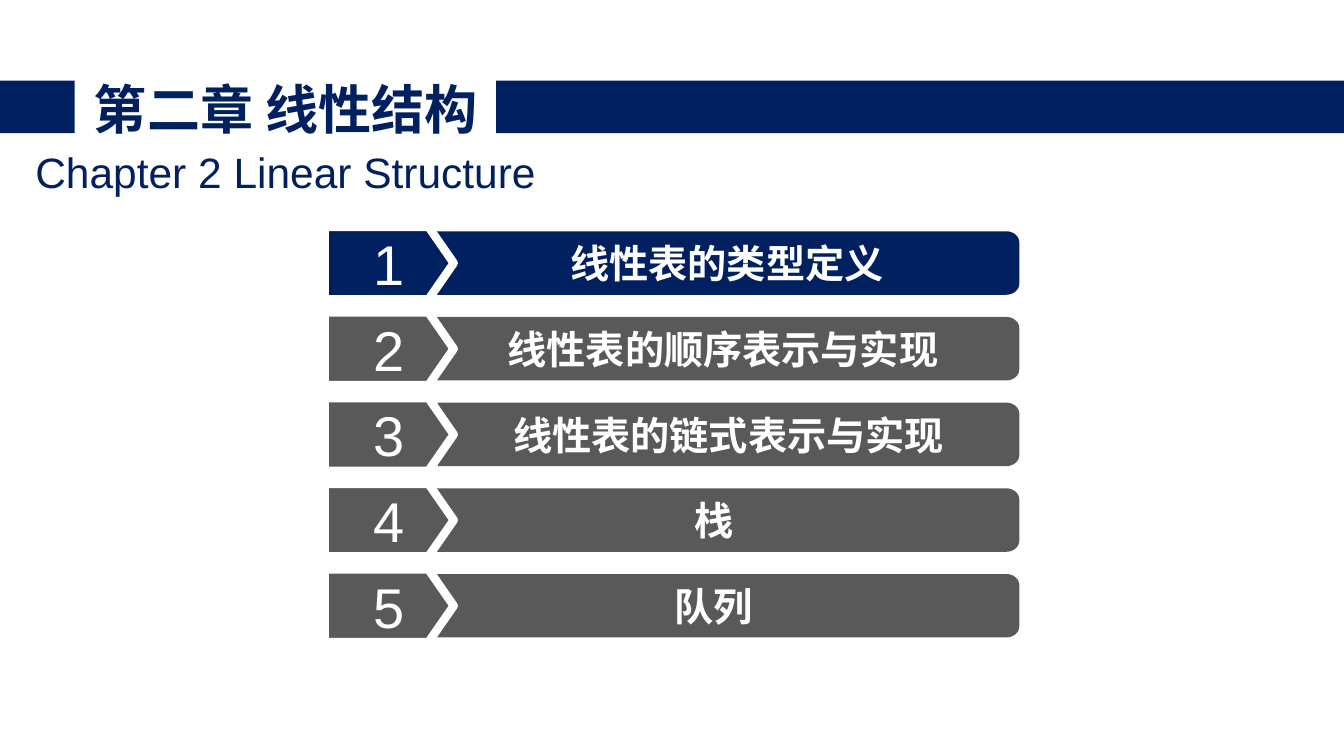
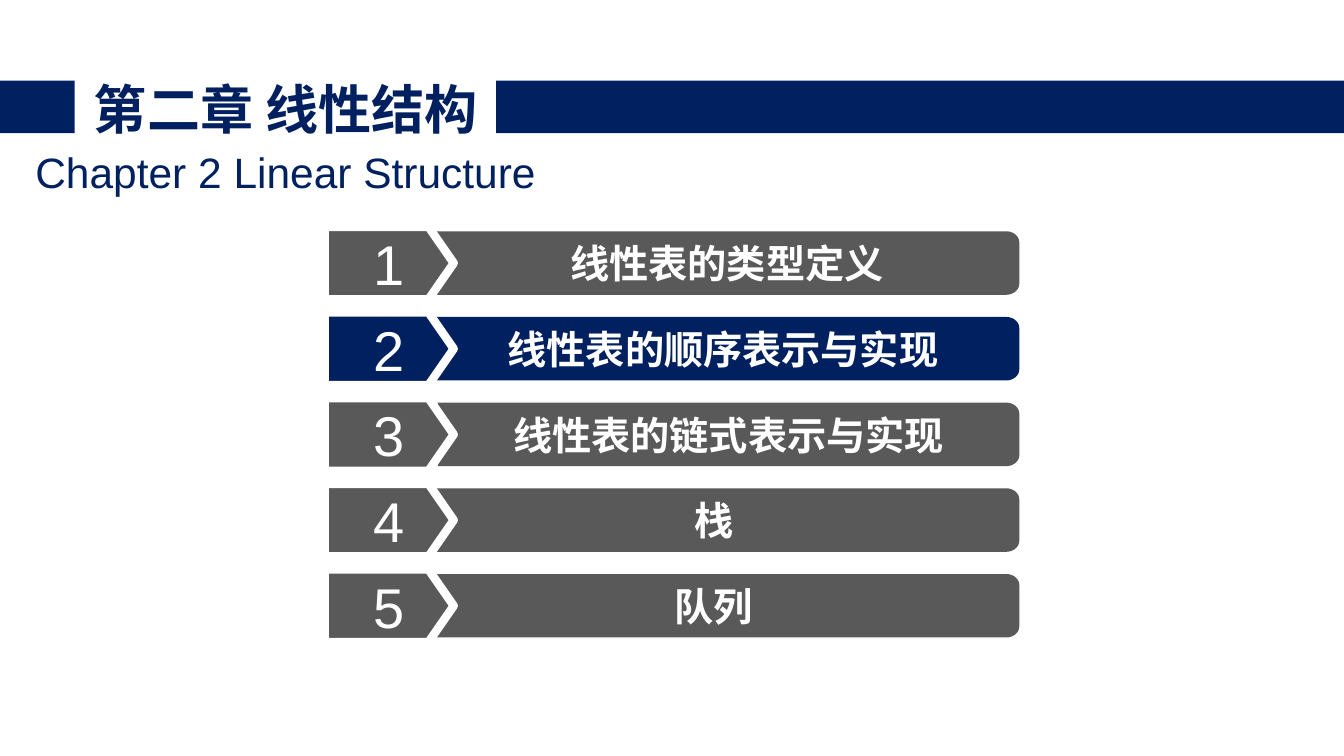
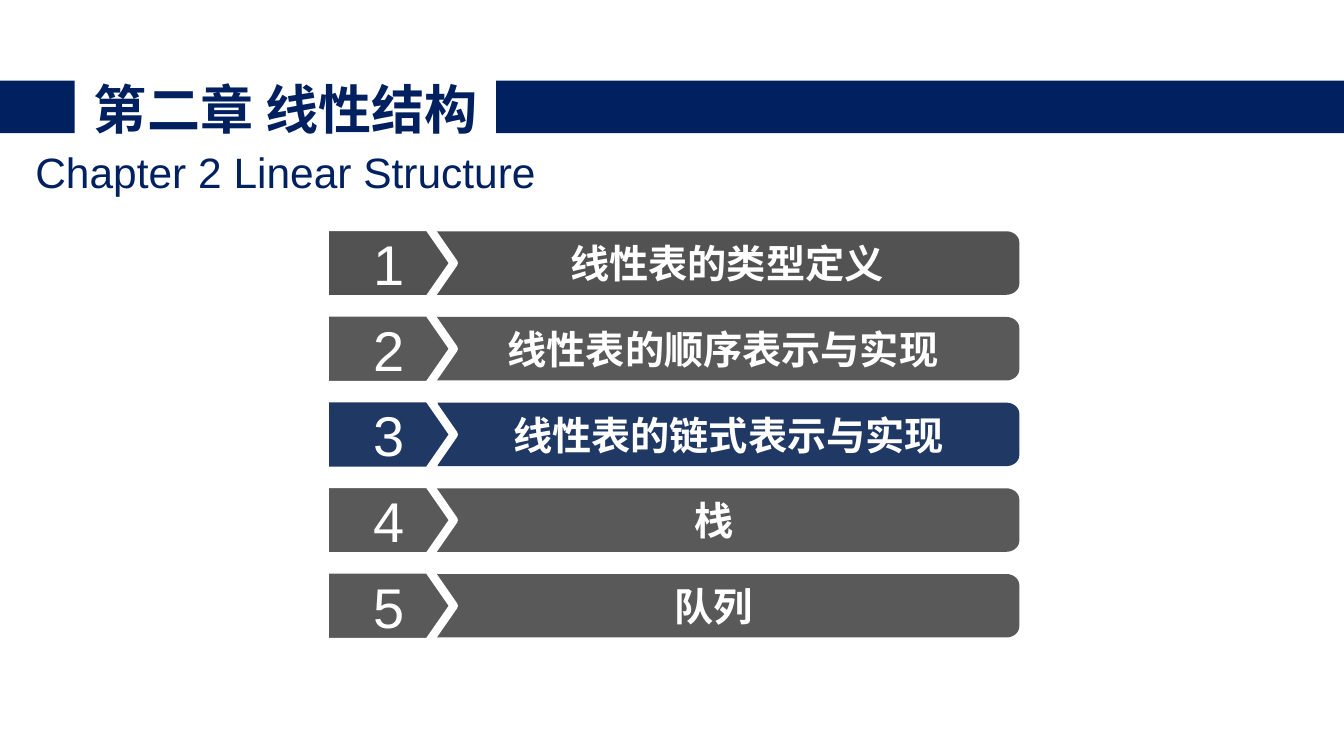
import math
from dataclasses import dataclass

from pptx import Presentation
from pptx import util as u
from pptx.dml.color import RGBColor
from pptx.enum import lang, shapes, text

COLORS = {
    "navy": "002060",
    "slate": "203864",
    "grey": "595959",
    "dark_grey": "525252",
    "white": "FFFFFF",
}
FONT = "Arial"
SLIDE_WIDTH, SLIDE_HEIGHT = 13.33, 7.5

# Agenda geometry in inches
FIRST_CENTER, ROW_PITCH = 2.61, 0.85
BAR_RIGHT, BAR_HEIGHT = 10.11, 0.63
CORNER_X, CORNER_Y = 0.13, 0.11
TAG_LEFT, TAG_SHOULDER, TAG_TIP, TAG_HEIGHT = 3.22, 4.25, 4.5, 0.72


@dataclass(frozen=True)
class Topic:
    label: str
    bar_left: float = 4.05
    indent: float = 0


@dataclass(frozen=True)
class TextStyle:
    size: float
    color: str
    bold: bool = False


TITLE = TextStyle(37.9, "navy", True)
SUBTITLE = TextStyle(30.3, "navy")
LABEL = TextStyle(28, "white", True)
NUMBER = TextStyle(40, "white")

TOPICS = [
    Topic("线性表的类型定义", bar_left=4.31),
    Topic("线性表的顺序表示与实现", indent=0.18),
    Topic("线性表的链式表示与实现", bar_left=4.34),
    Topic("栈"),
    Topic("队列"),
]

# Colour of each topic row, one list per slide
AGENDAS = [
    ["navy", "grey", "grey", "grey", "grey"],
    ["grey", "navy", "grey", "grey", "grey"],
    ["dark_grey", "grey", "slate", "grey", "grey"],
]


def rgb(color: str) -> RGBColor:
    return RGBColor.from_string(COLORS[color])


def paint(shape, color: str) -> None:
    shape.shadow.inherit = False
    shape.fill.solid()
    shape.fill.fore_color.rgb = rgb(color)
    shape.line.fill.background()


def write(shape, content: str, style: TextStyle,
          anchor=text.MSO_ANCHOR.MIDDLE, indent: float = 0) -> None:
    frame = shape.text_frame
    frame.text = content
    frame.word_wrap = True
    frame.vertical_anchor = anchor
    frame.margin_left = u.Inches(indent)
    frame.margin_top = frame.margin_right = frame.margin_bottom = 0
    paragraph = frame.paragraphs[0]
    paragraph.alignment = text.PP_ALIGN.CENTER
    for run in paragraph.runs:
        run.font.name = FONT
        run.font.size = u.Pt(style.size)
        run.font.bold = style.bold
        run.font.color.rgb = rgb(style.color)
        run.font.language_id = lang.MSO_LANGUAGE_ID.SIMPLIFIED_CHINESE


def add_band(slide, left: float, width: float) -> None:
    band = slide.shapes.add_shape(
        shapes.MSO_SHAPE.RECTANGLE,
        u.Inches(left), u.Inches(0.8), u.Inches(width), u.Inches(0.52))
    paint(band, "navy")


def add_heading(slide, box: tuple[float, float, float, float], content: str,
                style: TextStyle, anchor) -> None:
    heading = slide.shapes.add_textbox(*(u.Inches(v) for v in box))
    write(heading, content, style, anchor)
    heading.text_frame.auto_size = text.MSO_AUTO_SIZE.SHAPE_TO_FIT_TEXT


def add_header(slide) -> None:
    add_band(slide, 0, 0.74)
    add_heading(slide, (0.83, 0.75, 4.01, 0.64), "第二章 线性结构",
                TITLE, text.MSO_ANCHOR.MIDDLE)
    add_heading(slide, (0.2, 1.45, 5.27, 0.51), "Chapter 2 Linear Structure",
                SUBTITLE, text.MSO_ANCHOR.TOP)
    add_band(slide, 4.92, SLIDE_WIDTH - 4.92)


def add_outline(slide, points: list[tuple[float, float]], color: str):
    corners = [(u.Inches(x), u.Inches(y)) for x, y in points]
    builder = slide.shapes.build_freeform(*corners[0])
    builder.add_line_segments(corners[1:], close=True)
    outline = builder.convert_to_shape()
    paint(outline, color)
    return outline


def bar_points(left: float, center: float) -> list[tuple[float, float]]:
    """Rectangle whose two right corners are rounded."""
    top, bottom = center - BAR_HEIGHT / 2, center + BAR_HEIGHT / 2
    arc = [(BAR_RIGHT - CORNER_X * (1 - math.sin(a)), CORNER_Y * (1 - math.cos(a)))
           for a in (math.radians(d) for d in range(0, 91, 10))]
    upper = [(x, top + drop) for x, drop in arc]
    lower = [(x, bottom - drop) for x, drop in reversed(arc)]
    return [(left, top), *upper, *lower, (left, bottom)]


def tag_points(center: float) -> list[tuple[float, float]]:
    """Pentagon pointing right."""
    top, bottom = center - TAG_HEIGHT / 2, center + TAG_HEIGHT / 2
    return [(TAG_LEFT, top), (TAG_SHOULDER, top), (TAG_TIP, center),
            (TAG_SHOULDER, bottom), (TAG_LEFT, bottom)]


def add_topic(slide, index: int, topic: Topic, color: str) -> None:
    center = FIRST_CENTER + index * ROW_PITCH
    bar = add_outline(slide, bar_points(topic.bar_left, center), color)
    write(bar, topic.label, LABEL, indent=topic.indent)
    tag = add_outline(slide, tag_points(center), color)
    tag.line.color.rgb = rgb("white")
    tag.line.width = u.Pt(6)
    write(tag, str(index + 1), NUMBER)


def main() -> None:
    deck = Presentation()
    deck.slide_width = u.Inches(SLIDE_WIDTH)
    deck.slide_height = u.Inches(SLIDE_HEIGHT)
    for row_colors in AGENDAS:
        slide = deck.slides.add_slide(deck.slide_layouts[6])
        add_header(slide)
        for index, (topic, color) in enumerate(zip(TOPICS, row_colors)):
            add_topic(slide, index, topic, color)
    deck.save("out.pptx")


if __name__ == "__main__":
    main()
